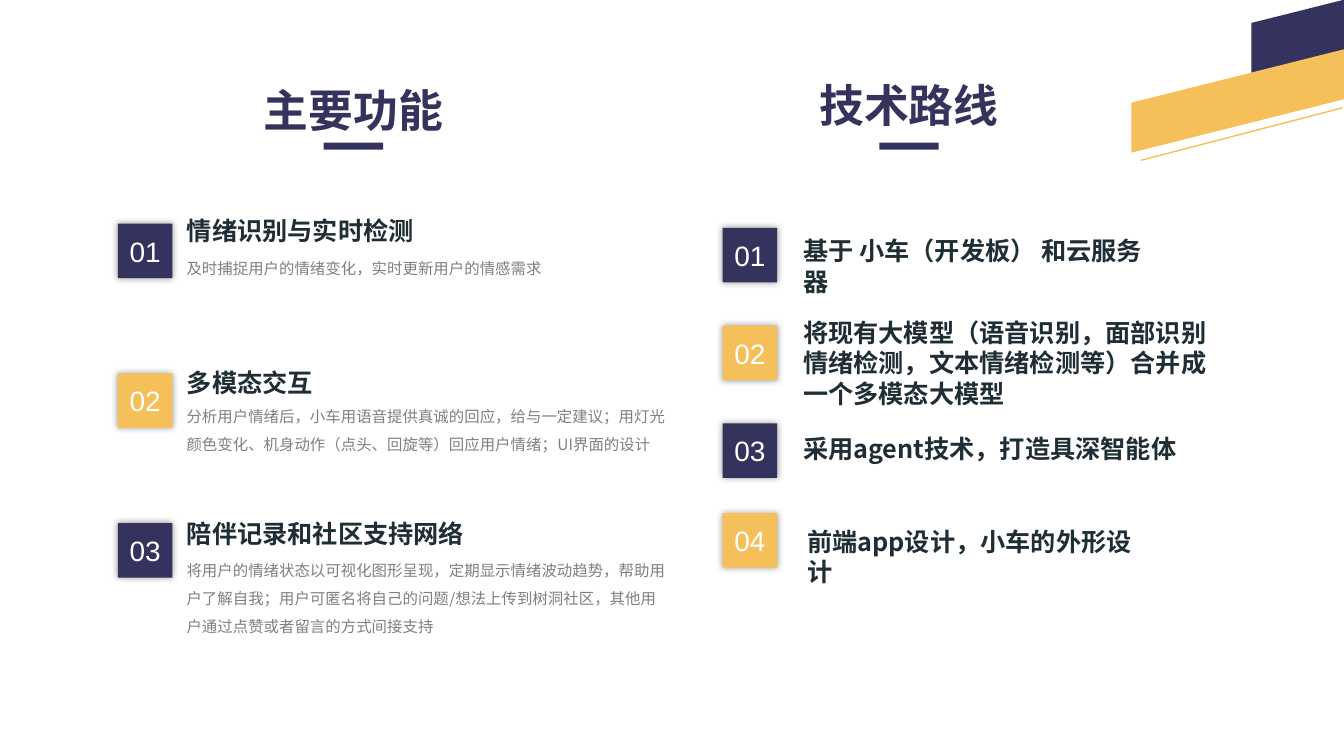
from dataclasses import dataclass

from lxml.etree import SubElement
from pptx import Presentation
from pptx.dml.color import RGBColor
from pptx.enum.shapes import MSO_CONNECTOR, MSO_SHAPE
from pptx.enum.text import MSO_ANCHOR, MSO_AUTO_SIZE, PP_ALIGN
from pptx.oxml.ns import qn
from pptx.util import Pt


@dataclass(frozen=True)
class Theme:
    navy: str = "33335E"
    gold: str = "F5C059"
    ink: str = "1F2E35"
    grey: str = "7F7F7F"
    white: str = "FFFFFF"
    shadow: str = "000000"
    text_font: str = "Noto Sans CJK SC"
    number_font: str = "Arial"
    title_size: int = 32
    number_size: int = 20
    heading_size: int = 18
    body_size: int = 11


class SlideBuilder:
    def __init__(self, slide, theme):
        self.slide = slide
        self.theme = theme

    def shape(self, kind, x, y, w, h, color):
        sp = self.slide.shapes.add_shape(kind, Pt(x), Pt(y), Pt(w), Pt(h))
        sp.shadow.inherit = False
        sp.fill.solid()
        sp.fill.fore_color.rgb = RGBColor.from_string(color)
        sp.line.fill.background()
        return sp

    def ribbon(self, x, y, w, h, color):
        sp = self.shape(MSO_SHAPE.PARALLELOGRAM, x, y, w, h, color)
        sp.adjustments[0] = 0.25
        sp.rotation = 345.9

    def line(self, x1, y1, x2, y2, color):
        cxn = self.slide.shapes.add_connector(
            MSO_CONNECTOR.STRAIGHT, Pt(x1), Pt(y1), Pt(x2), Pt(y2))
        cxn.line.color.rgb = RGBColor.from_string(color)
        cxn.line.width = Pt(1)
        SubElement(cxn._element.spPr, qn("a:effectLst"))

    def style(self, p, size, color, font, bold=False):
        p.font.size = Pt(size)
        p.font.bold = bold
        p.font.color.rgb = RGBColor.from_string(color)
        p.font.name = font
        props = p._p.get_or_add_pPr().find(qn("a:defRPr"))
        SubElement(props, qn("a:ea"), typeface=font)

    def text(self, x, y, w, h, lines, size, color, bold=False, wrap=True,
             align=PP_ALIGN.LEFT, spacing=None):
        tf = self.slide.shapes.add_textbox(Pt(x), Pt(y), Pt(w), Pt(h)).text_frame
        tf.word_wrap = wrap
        tf.auto_size = MSO_AUTO_SIZE.SHAPE_TO_FIT_TEXT
        tf.text = "\n".join(lines)
        for p in tf.paragraphs:
            p.alignment = align
            p.line_spacing = spacing
            self.style(p, size, color, self.theme.text_font, bold)

    def title(self, center, y, w, text):
        t = self.theme
        self.text(center - w / 2, y, w, 46, [text], t.title_size, t.navy,
                  bold=True, align=PP_ALIGN.CENTER)
        self.shape(MSO_SHAPE.RECTANGLE, center - 21.25, 102, 42.5, 5, t.navy)

    def badge(self, x, y, number):
        t = self.theme
        color = t.navy if number % 2 else t.gold
        sp = self.shape(MSO_SHAPE.RECTANGLE, x, y, 39, 39, color)
        glow = SubElement(sp._element.spPr.find(qn("a:effectLst")),
                          qn("a:outerShdw"), blurRad=str(Pt(5)), dist="0",
                          dir="0", algn="ctr", rotWithShape="0")
        shade = SubElement(glow, qn("a:srgbClr"), val=t.shadow)
        SubElement(shade, qn("a:alpha"), val="40000")
        tf = sp.text_frame
        tf.margin_left = tf.margin_right = 0
        tf.vertical_anchor = MSO_ANCHOR.MIDDLE
        p = tf.paragraphs[0]
        p.text = f"{number:02d}"
        p.alignment = PP_ALIGN.CENTER
        self.style(p, t.number_size, t.white, t.number_font)

    def heading(self, x, y, w, lines, wrap=False):
        t = self.theme
        self.text(x, y, w, 7.2 + 21.7 * len(lines), lines, t.heading_size,
                  t.ink, bold=True, wrap=wrap)

    def body(self, x, y, w, h, text):
        t = self.theme
        self.text(x, y, w, h, [text], t.body_size, t.grey, spacing=1.5)


# Heading, its width, then the description's top, width, height and wording
FEATURES = [
    ("情绪识别与实时检测", 176.4, 175, 381.6, 27,
     "及时捕捉用户的情绪变化，实时更新用户的情感需求"),
    ("多模态交互", 104.4, 280.8, 357, 47,
     "分析用户情绪后，小车用语音提供真诚的回应，给与一定建议；用灯光颜色变化、"
     "机身动作（点头、回旋等）回应用户情绪；UI界面的设计"),
    ("陪伴记录和社区支持网络", 212.4, 391, 357, 67,
     "将用户的情绪状态以可视化图形呈现，定期显示情绪波动趋势，帮助用户了解自我；"
     "用户可匿名将自己的问题/想法上传到树洞社区，其他用户通过点赞或者留言的方式间接支持"),
]

# Badge top, text left, top and width, wrapping, lines
ROUTE = [
    (162.7, 566.6, 164.9, 274.3, False, ["基于 小车（开发板） 和云服务器"]),
    (232.6, 566.6, 223.2, 302.4, False,
     ["将现有大模型（语音识别，面部识别", "情绪检测，文本情绪检测等）合并成", "一个多模态大模型"]),
    (302.4, 566.6, 306, 280.8, True, ["采用agent技术，打造具深智能体"]),
    (366.5, 569.5, 372.2, 259.2, True, ["前端app设计，小车的外形设计"]),
]


def main():
    prs = Presentation()
    prs.slide_width, prs.slide_height = Pt(960), Pt(540)
    theme = Theme()
    s = SlideBuilder(prs.slides.add_slide(prs.slide_layouts[6]), theme)

    # Corner ribbons
    s.ribbon(888.5, 8.6, 77, 34.6, theme.navy)
    s.ribbon(801.4, 54.7, 166.3, 34.6, theme.gold)
    s.line(815, 114.5, 959, 77, theme.gold)

    # Main features
    s.title(252.4, 55.4, 336.2, "主要功能")
    for i, (name, width, top, body_w, body_h, detail) in enumerate(FEATURES):
        s.badge(84.2, 159.8 + 106.9 * i, i + 1)
        s.heading(126.4, 150.5 + 108 * i, width, [name])
        s.body(126.2, top, body_w, body_h, detail)

    # Technical route
    s.title(649.3, 51.8, 142.6, "技术路线")
    for number, (badge_y, x, y, width, wrap, lines) in enumerate(ROUTE, 1):
        s.badge(516.2, badge_y, number)
        s.heading(x, y, width, lines, wrap)

    prs.save("out.pptx")


if __name__ == "__main__":
    main()
